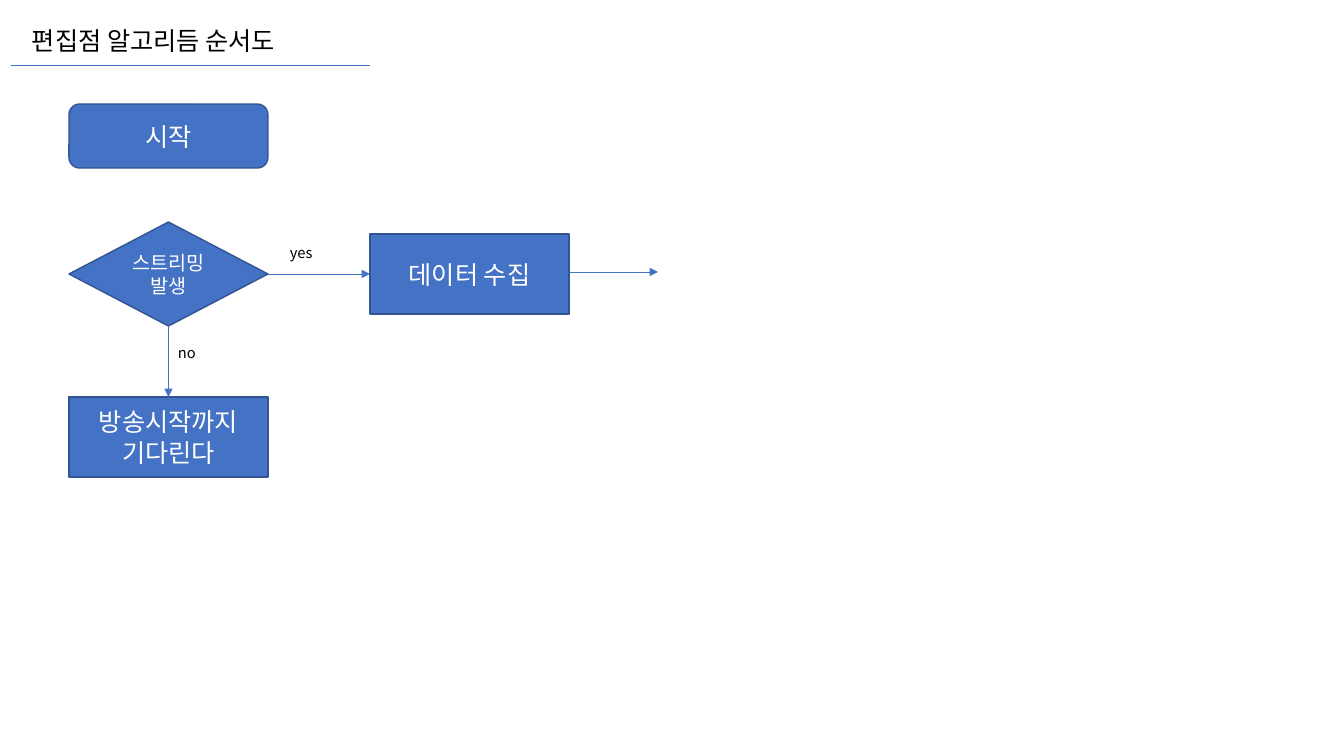
from dataclasses import dataclass

from lxml import etree
from pptx import Presentation
from pptx.dml.color import RGBColor
from pptx.enum.shapes import MSO_CONNECTOR, MSO_SHAPE
from pptx.enum.text import MSO_ANCHOR, MSO_AUTO_SIZE, PP_ALIGN
from pptx.oxml.ns import qn
from pptx.shapes.autoshape import Shape
from pptx.shapes.connector import Connector
from pptx.slide import Slide
from pptx.util import Emu, Pt

BLUE = RGBColor(0x44, 0x72, 0xC4)
DARK_BLUE = RGBColor(0x32, 0x54, 0x91)
WHITE = RGBColor(0xFF, 0xFF, 0xFF)
BLACK = RGBColor(0x00, 0x00, 0x00)
FONT = "Noto Sans CJK KR"
PX_PER_INCH = 100.8

PROCESS = MSO_SHAPE.FLOWCHART_PROCESS
TERMINAL = MSO_SHAPE.FLOWCHART_ALTERNATE_PROCESS
DECISION = MSO_SHAPE.FLOWCHART_DECISION
STRAIGHT = MSO_CONNECTOR.STRAIGHT
MIDDLE = MSO_ANCHOR.MIDDLE
FIT_SHAPE = MSO_AUTO_SIZE.SHAPE_TO_FIT_TEXT
LEFT = PP_ALIGN.LEFT
CENTER = PP_ALIGN.CENTER
TOP_SIDE, LEFT_SIDE, BOTTOM_SIDE, RIGHT_SIDE = range(4)


@dataclass(frozen=True)
class Step:
    name: str
    kind: MSO_SHAPE
    text: str
    left: int
    top: int
    height: int
    size: float = 18
    width: int = 199


@dataclass(frozen=True)
class Label:
    text: str
    left: int
    top: int
    width: int = 49
    height: int = 28
    size: float = 10.5
    wrap: bool = True


@dataclass(frozen=True)
class Link:
    source: str
    source_side: int
    target: str
    target_side: int


STEPS = [
    Step("collect", PROCESS, "데이터 수집", 370, 234, 80),
    Step("start", TERMINAL, "시작", 69, 104, 64),
    Step("streaming", DECISION, "스트리밍 발생", 69, 222, 104, size=14),
    Step("wait", PROCESS, "방송시작까지 기다린다", 69, 397, 80),
]
LINKS = [
    Link("streaming", BOTTOM_SIDE, "wait", TOP_SIDE),
    Link("streaming", RIGHT_SIDE, "collect", LEFT_SIDE),
]
LABELS = [
    Label("편집점 알고리듬 순서도", 22, 20, 293, 40, size=18, wrap=False),
    Label("yes", 280, 239),
    Label("no", 168, 339),
]


def px(length: int) -> Emu:
    return Emu(round(length * 914400 / PX_PER_INCH))


def write_text(box: Shape, text: str, *, size: float, color: RGBColor,
               align: PP_ALIGN = LEFT) -> None:
    para = box.text_frame.paragraphs[0]
    para.alignment = align
    span = para.add_run()
    span.text = text
    span.font.size = Pt(size)
    span.font.name = FONT
    span.font.color.rgb = color
    properties = span.font._element
    etree.SubElement(properties, qn("a:ea")).set("typeface", FONT)


def add_step(page: Slide, step: Step) -> Shape:
    box = page.shapes.add_shape(
        step.kind, px(step.left), px(step.top), px(step.width), px(step.height))
    box.shadow.inherit = False
    box.fill.solid()
    box.fill.fore_color.rgb = BLUE
    box.line.color.rgb = DARK_BLUE
    box.line.width = Pt(1)
    box.text_frame.word_wrap = True
    box.text_frame.vertical_anchor = MIDDLE
    write_text(box, step.text, size=step.size, color=WHITE, align=CENTER)
    return box


def add_label(page: Slide, label: Label) -> None:
    box = page.shapes.add_textbox(
        px(label.left), px(label.top), px(label.width), px(label.height))
    box.text_frame.word_wrap = label.wrap
    box.text_frame.auto_size = FIT_SHAPE
    write_text(box, label.text, size=label.size, color=BLACK)


def add_line(page: Slide, left: int, right: int, y: int, *,
             arrow: bool = True) -> Connector:
    line = page.shapes.add_connector(STRAIGHT, px(left), px(y), px(right), px(y))
    line.line.color.rgb = BLUE
    line.line.width = Pt(0.5)
    properties = line._element.spPr
    if arrow:
        outline = properties.find(qn("a:ln"))
        etree.SubElement(outline, qn("a:tailEnd")).set("type", "triangle")
    etree.SubElement(properties, qn("a:effectLst"))
    return line


def add_link(page: Slide, link: Link, boxes: dict[str, Shape]) -> None:
    line = add_line(page, 0, 0, 0)
    line.begin_connect(boxes[link.source], link.source_side)
    line.end_connect(boxes[link.target], link.target_side)


def main() -> None:
    deck = Presentation()
    deck.slide_width = px(1344)
    deck.slide_height = px(756)
    page = deck.slides.add_slide(deck.slide_layouts[6])

    add_line(page, 11, 370, 65, arrow=False)
    boxes = {step.name: add_step(page, step) for step in STEPS}
    for link in LINKS:
        add_link(page, link, boxes)
    add_line(page, 569, 658, 272)
    for label in LABELS:
        add_label(page, label)

    deck.save("out.pptx")


if __name__ == "__main__":
    main()
